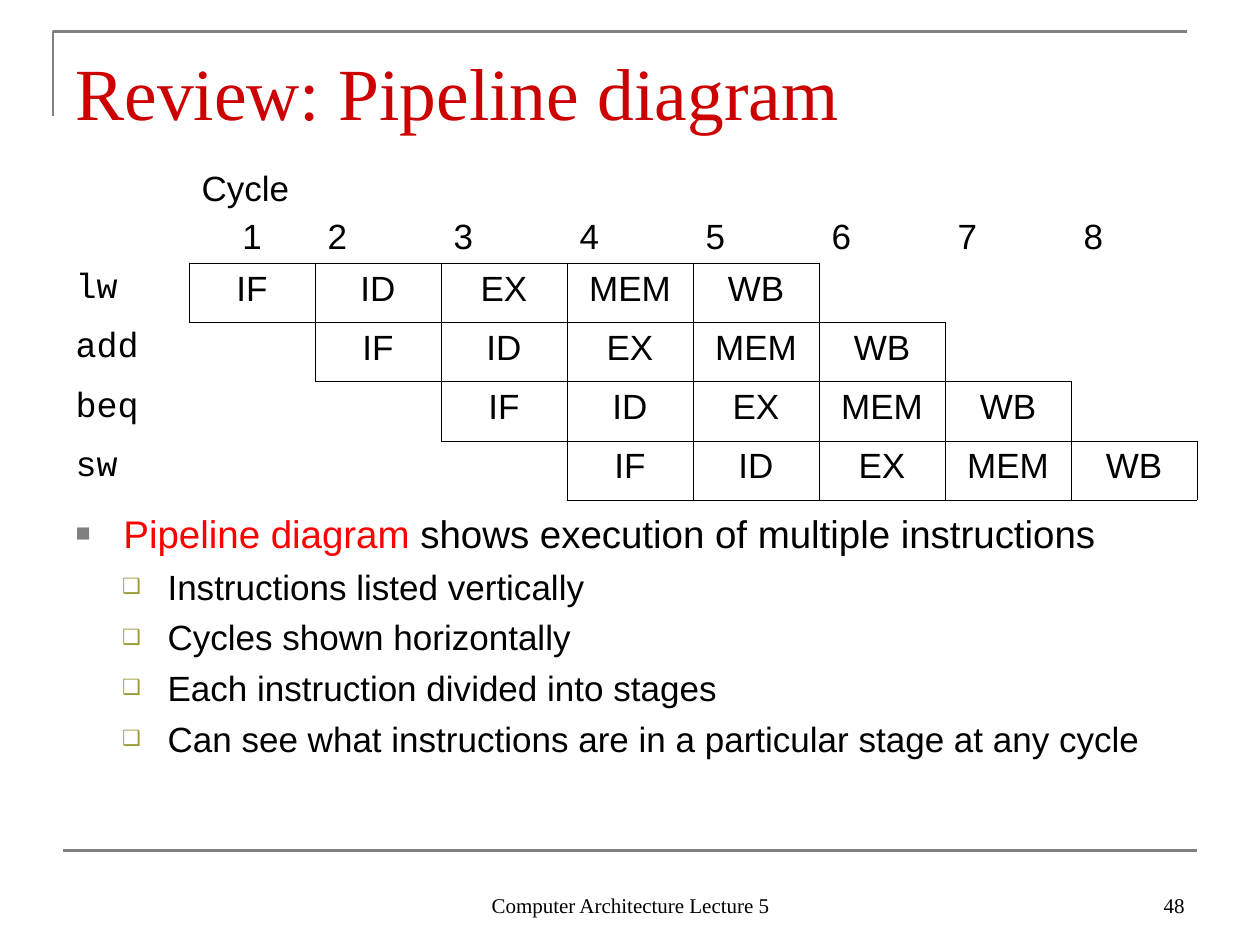
from dataclasses import dataclass

from lxml import etree
from pptx import Presentation
from pptx.dml.color import RGBColor
from pptx.enum.shapes import MSO_CONNECTOR
from pptx.enum.text import MSO_ANCHOR, MSO_AUTO_SIZE, PP_ALIGN
from pptx.oxml.ns import qn
from pptx.util import Inches, Pt

LEFT, CENTER, RIGHT = PP_ALIGN.LEFT, PP_ALIGN.CENTER, PP_ALIGN.RIGHT
TOP, BOTTOM = MSO_ANCHOR.TOP, MSO_ANCHOR.BOTTOM
STRAIGHT = MSO_CONNECTOR.STRAIGHT
NO_FIT = MSO_AUTO_SIZE.NONE


@dataclass(frozen=True)
class Theme:
    serif: str = "Times New Roman"
    sans: str = "Arial"
    mono: str = "Courier New"
    title: str = "CC0000"
    accent: str = "FF0000"
    ink: str = "000000"
    rule: str = "808080"
    sub_bullet: str = "999933"
    title_size: int = 42
    lead_size: int = 22
    text_size: int = 20
    footer_size: int = 12
    rule_width: float = 1.5
    border_width: float = 0.45


THEME = Theme()
MARGIN, COLUMN = 0.5, 1  # the content grid: nine columns between the margins
STAGES = ["IF", "ID", "EX", "MEM", "WB"]
INSTRUCTIONS = ["lw", "add", "beq", "sw"]
CYCLES = len(INSTRUCTIONS) + len(STAGES) - 1
HEADER_HEIGHT, ROW_HEIGHT = 0.84, 0.47
POINTS = [
    "Instructions listed vertically",
    "Cycles shown horizontally",
    "Each instruction divided into stages",
    "Can see what instructions are in a particular stage at any cycle",
]


def color(code):
    return RGBColor.from_string(code)


def set_font(para, name, size, code=THEME.ink):
    para.font.name = name
    para.font.size = Pt(size)
    para.font.color.rgb = color(code)


def place(shape, left, top, width, height):
    shape.left, shape.top = Inches(left), Inches(top)
    shape.width, shape.height = Inches(width), Inches(height)


def style_rule(line):
    line.color.rgb = color(THEME.rule)
    line.width = Pt(THEME.rule_width)


def add_rules(page):
    # Corner bracket around the title
    left, top, right, bottom = (Inches(v) for v in (0.42, 0.25, 9.42, 0.92))
    builder = page.shapes.build_freeform(left, bottom)
    builder.add_line_segments([(left, top), (right, top)], close=False)
    bracket = builder.convert_to_shape()
    bracket.shadow.inherit = False
    bracket.fill.background()
    style_rule(bracket.line)

    # Footer line
    footer_line = page.shapes.add_connector(
        STRAIGHT, Inches(MARGIN), Inches(6.75), Inches(10 - MARGIN), Inches(6.75))
    style_rule(footer_line.line)
    etree.SubElement(footer_line._element.spPr, qn("a:effectLst"))


def add_footer(page, text, left, width, align):
    box = page.shapes.add_textbox(
        Inches(left), Inches(6.83), Inches(width), Inches(0.5))
    frame = box.text_frame
    frame.word_wrap = True
    frame.vertical_anchor = BOTTOM
    para = frame.paragraphs[0]
    para.text = text
    para.alignment = align
    set_font(para, THEME.serif, THEME.footer_size)


def fill_title(title, text):
    place(title, MARGIN, 0.3, 9, 0.78)
    frame = title.text_frame
    frame.auto_size = NO_FIT
    frame.vertical_anchor = BOTTOM
    frame.margin_bottom = Inches(0.01)
    para = frame.paragraphs[0]
    para.text = text
    para.alignment = LEFT
    set_font(para, THEME.serif, THEME.title_size, THEME.title)


def set_bullet(para, mark, code, percent, indent, hanging):
    props = para._p.get_or_add_pPr()
    props.set("marL", str(Inches(indent)))
    props.set("indent", str(-Inches(hanging)))
    tint = etree.SubElement(props, qn("a:buClr"))
    etree.SubElement(tint, qn("a:srgbClr"), val=code)
    etree.SubElement(props, qn("a:buSzPct"), val=str(percent * 1000))
    etree.SubElement(props, qn("a:buFont"), typeface=THEME.sans)
    etree.SubElement(props, qn("a:buChar"), char=mark)


def fill_body(body):
    place(body, MARGIN, 4, 9, 2.7)
    frame = body.text_frame
    frame.auto_size = NO_FIT
    frame.vertical_anchor = TOP

    # Lead statement with its key term in colour
    lead = frame.paragraphs[0]
    lead.space_before = Pt(0)
    set_bullet(lead, "■", THEME.rule, 65, 0.38, 0.38)
    set_font(lead, THEME.sans, THEME.lead_size)
    term = lead.add_run()
    term.text = "Pipeline diagram"
    term.font.color.rgb = color(THEME.accent)
    lead.add_run().text = " shows execution of multiple instructions"

    # Supporting points
    for point in POINTS:
        para = frame.add_paragraph()
        para.text = point
        para.level = 1
        para.space_before = Pt(5)
        set_bullet(para, "❑", THEME.sub_bullet, 60, 0.73, 0.36)
        set_font(para, THEME.sans, THEME.text_size)


def is_stage(row, column):
    return 1 <= row <= len(INSTRUCTIONS) and 0 <= column - row < len(STAGES)


def set_borders(cell, row, column):
    """Draw each side that touches a stage, and hide the others."""
    props = cell._tc.get_or_add_tcPr()
    sides = {"L": (0, -1), "R": (0, 1), "T": (-1, 0), "B": (1, 0)}
    for side, (down, across) in sides.items():
        line = etree.SubElement(
            props, qn(f"a:ln{side}"), w=str(Pt(THEME.border_width)))
        if is_stage(row, column) or is_stage(row + down, column + across):
            paint = etree.SubElement(line, qn("a:solidFill"))
            etree.SubElement(paint, qn("a:srgbClr"), val=THEME.ink)
        else:
            etree.SubElement(line, qn("a:noFill"))


def cell_content(row, column):
    """Return the lines of a cell as (text, alignment) and their font."""
    if row == 0:
        if column == 1:
            return [("Cycle", LEFT), ("1", CENTER)], THEME.sans
        return [(str(column) if column else "", LEFT)], THEME.sans
    if column == 0:
        return [(INSTRUCTIONS[row - 1], LEFT)], THEME.mono
    text = STAGES[column - row] if is_stage(row, column) else ""
    return [(text, CENTER)], THEME.sans


def fill_cell(cell, row, column):
    set_borders(cell, row, column)
    cell.fill.background()
    cell.vertical_anchor = TOP if row else BOTTOM
    lines, font = cell_content(row, column)
    frame = cell.text_frame
    for index, (text, align) in enumerate(lines):
        para = frame.add_paragraph() if index else frame.paragraphs[0]
        para.text = text
        para.alignment = align
        para.space_before = Pt(5 if index else 0)
        set_font(para, font, THEME.text_size)


def add_pipeline(page):
    heights = [HEADER_HEIGHT] + [ROW_HEIGHT] * len(INSTRUCTIONS)
    columns = CYCLES + 1
    table = page.shapes.add_table(
        len(heights), columns, Inches(MARGIN), Inches(1.25),
        Inches(columns * COLUMN), Inches(sum(heights))).table
    table.first_row = table.horz_banding = False
    for row, height in enumerate(heights):
        table.rows[row].height = Inches(height)
        for column in range(columns):
            fill_cell(table.cell(row, column), row, column)


def main():
    deck = Presentation()
    deck.slide_width, deck.slide_height = Inches(10), Inches(7.5)
    page = deck.slides.add_slide(deck.slide_layouts[1])
    add_rules(page)
    add_footer(page, "Computer Architecture Lecture 5", 3.42, 3.17, CENTER)
    add_footer(page, "48", 7.17, 2.33, RIGHT)
    fill_title(page.shapes.title, "Review: Pipeline diagram")
    add_pipeline(page)
    fill_body(page.placeholders[1])
    deck.save("out.pptx")


if __name__ == "__main__":
    main()
